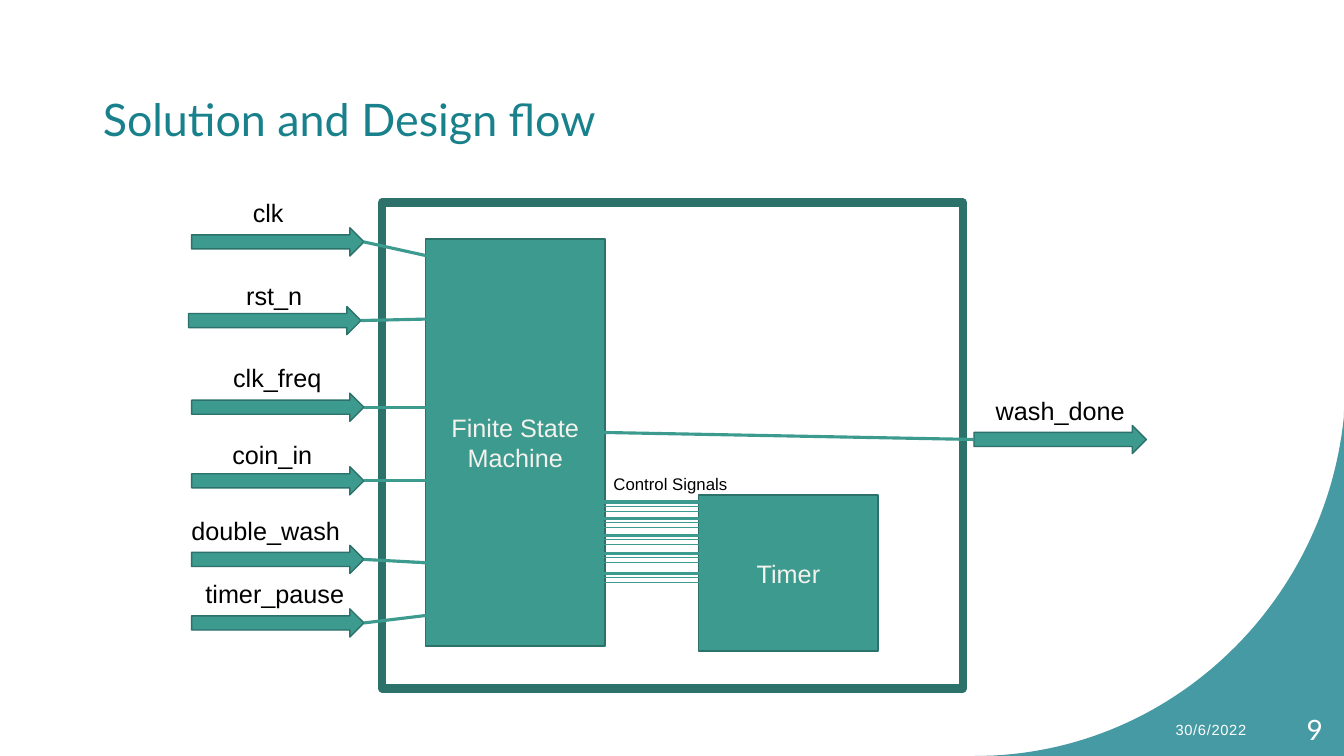
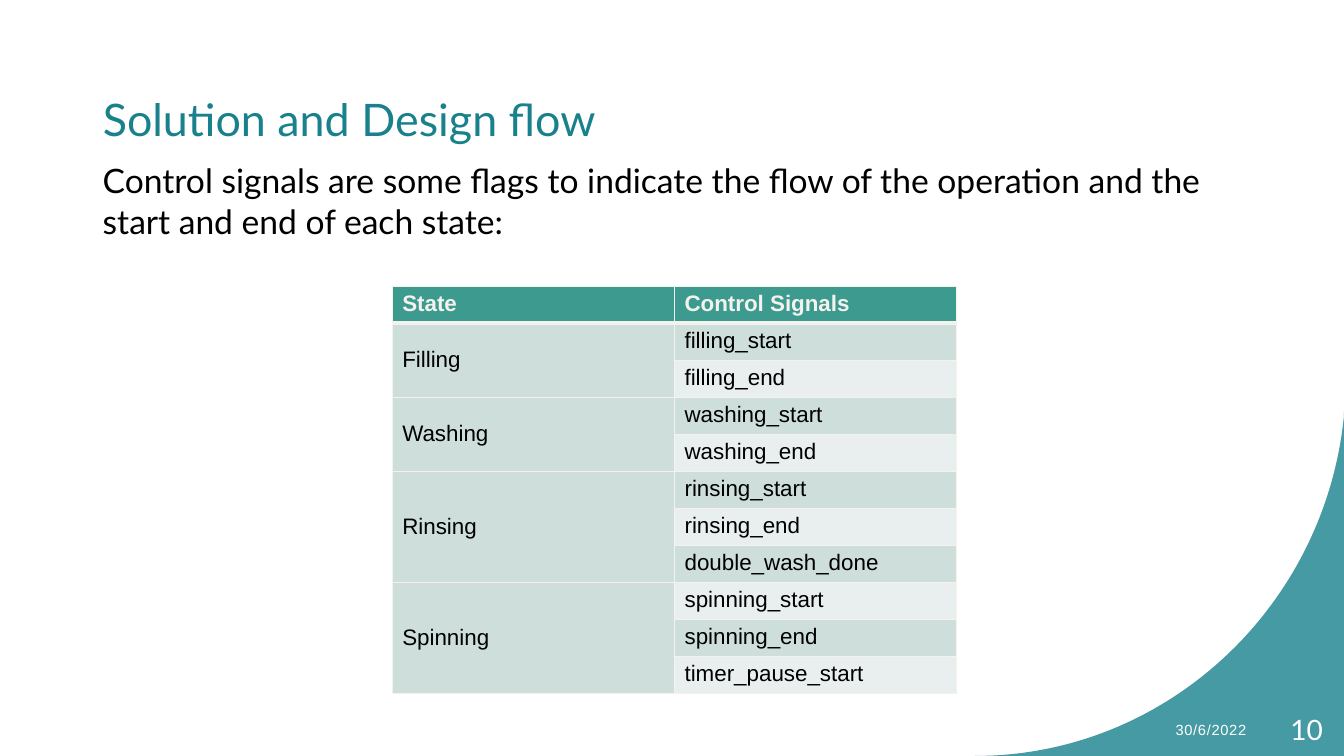
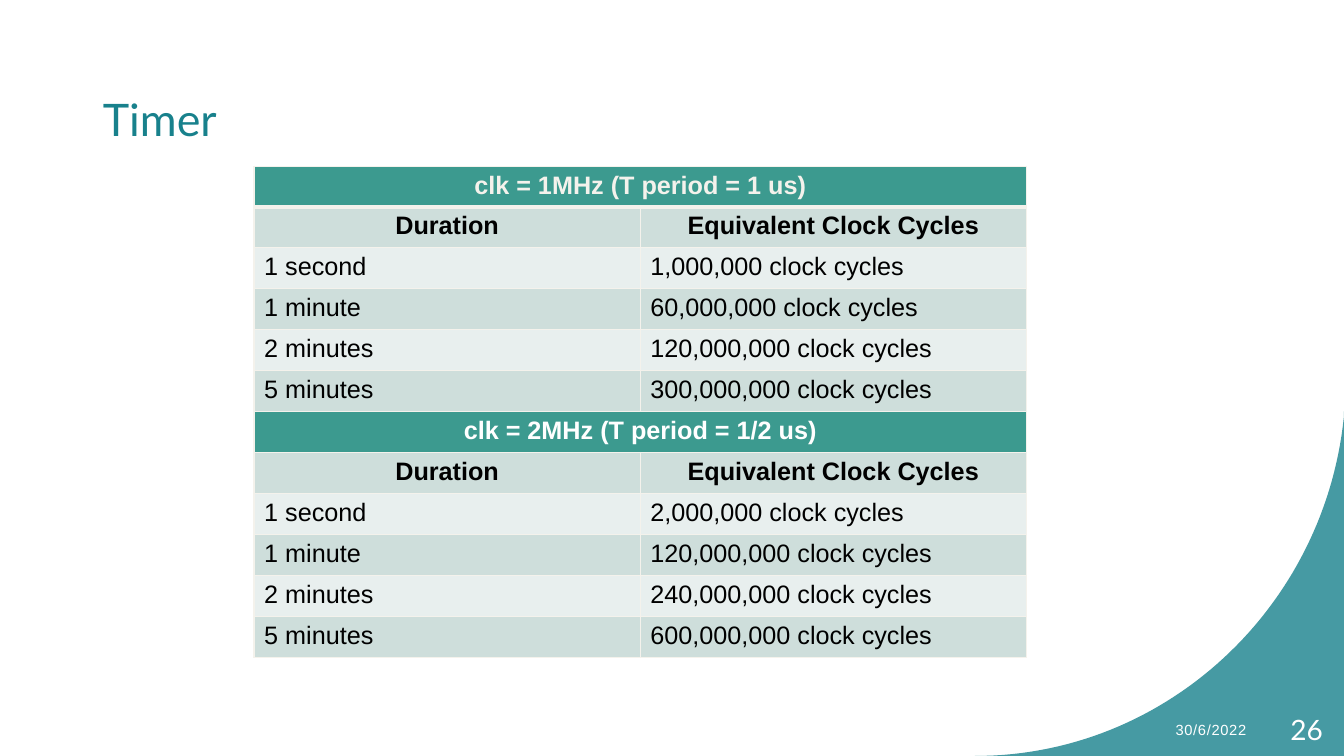
from dataclasses import dataclass

from lxml import etree
from pptx import Presentation
from pptx.dml.color import RGBColor
from pptx.enum.shapes import MSO_CONNECTOR, MSO_SHAPE
from pptx.enum.text import MSO_ANCHOR, MSO_AUTO_SIZE, PP_ALIGN
from pptx.oxml.ns import qn
from pptx.util import Emu, Pt

EMU_PER_PX = 9144
RECTANGLE = MSO_SHAPE.RECTANGLE
RIGHT_ARROW = MSO_SHAPE.RIGHT_ARROW
STRAIGHT = MSO_CONNECTOR.STRAIGHT
TOP, MIDDLE = MSO_ANCHOR.TOP, MSO_ANCHOR.MIDDLE
LEFT, CENTER, RIGHT = PP_ALIGN.LEFT, PP_ALIGN.CENTER, PP_ALIGN.RIGHT
LEFT_SIDE, RIGHT_SIDE = 1, 3
TITLE_ONLY = 5


@dataclass(frozen=True)
class Theme:
    teal: str = "18818C"
    green: str = "3C9A8F"
    dark_green: str = "2C726A"
    cream: str = "F4F2EC"
    band_dark: str = "CEDEDB"
    band_light: str = "E8EFEE"
    white: str = "FFFFFF"
    black: str = "000000"
    heading_font: str = "Lato"
    text_font: str = "Arial"
    title_size: float = 32
    lead_size: float = 24
    number_size: float = 20
    text_size: float = 18
    table_size: float = 16
    note_size: float = 12
    date_size: float = 10.5
    thick: float = 2.25
    thin: float = 0.5


THEME = Theme()

INPUTS = [
    ("clk", (202, 191, 128), (190, 226), (456, 261)),
    ("rst_n", (208, 273, 128), (187, 304), (448, 316)),
    ("clk_freq", (211, 355, 128), (190, 390), (442, 404)),
    ("coin_in", (206, 431, 128), (190, 463), (447, 477)),
    ("double_wash ", (176, 506, 182), (190, 541), (457, 560)),
    ("timer_pause", (187, 569, 171), (190, 604), (444, 608)),
]
SIGNAL_GROUPS = [
    (558, 725, 498),
    (575, 709, 514),
    (591, 725, 531),
    (575, 709, 549),
    (581, 715, 569),
]
SIGNAL_STRANDS = [(4, 9, THEME.thin), (2, 4, THEME.thin), (0, 0, THEME.thick)]

STATES = [
    ("Filling", ["filling_start", "filling_end"]),
    ("Washing", ["washing_start", "washing_end"]),
    ("Rinsing", ["rinsing_start", "rinsing_end", "double_wash_done"]),
    ("Spinning", ["spinning_start", "spinning_end", "timer_pause_start"]),
]
CLOCKS = [
    ("clk = 1MHz (T period = 1 us)", THEME.cream,
     ["1,000,000", "60,000,000", "120,000,000", "300,000,000"]),
    ("clk = 2MHz (T period = 1/2 us)", THEME.white,
     ["2,000,000", "120,000,000", "240,000,000", "600,000,000"]),
]
DURATIONS = ["1 second", "1 minute", "2 minutes", "5 minutes"]


def px(value):
    return Emu(round(value * EMU_PER_PX))


def place(*lengths):
    return [px(length) for length in lengths]


def rgb(color):
    return RGBColor.from_string(color)


def write(frame, text, size, color, align=LEFT, font=THEME.text_font, bold=False):
    frame.text = text
    para = frame.paragraphs[0]
    para.alignment = align
    para.font.name = font
    para.font.size = Pt(size)
    para.font.bold = bold
    para.font.color.rgb = rgb(color)
    return para


def add_text(page, box, text, size, color, align=LEFT, font=THEME.text_font, anchor=TOP):
    frame = page.shapes.add_textbox(*place(*box)).text_frame
    frame.word_wrap = True
    frame.vertical_anchor = anchor
    return write(frame, text, size, color, align, font)


def add_label(page, box, text, size=THEME.text_size):
    add_text(page, box, text, size, THEME.black, CENTER)


def add_block(page, preset, box, text="", fill=THEME.green, border=1):
    block = page.shapes.add_shape(preset, *place(*box))
    block.shadow.inherit = False
    block.fill.solid()
    block.fill.fore_color.rgb = rgb(fill)
    block.line.color.rgb = rgb(THEME.dark_green)
    block.line.width = Pt(border)
    if text:
        block.text_frame.vertical_anchor = MIDDLE
        write(block.text_frame, text, THEME.text_size, THEME.cream, CENTER)
    return block


def add_arrow(page, left, top):
    return add_block(page, RIGHT_ARROW, (left, top, 171, 28))


def add_wire(page, start, end, width=THEME.thick):
    wire = page.shapes.add_connector(STRAIGHT, *place(*start, *end))
    wire.line.color.rgb = rgb(THEME.green)
    wire.line.width = Pt(width)
    etree.SubElement(wire.element.spPr, qn("a:effectLst"))
    return wire


def add_corner(page):
    controls = [(967, 750), (1157, 750), (1314, 602), (1333, 413)]
    steps = 60
    points = []
    for step in range(steps + 1):
        t = step / steps
        weights = ((1 - t) ** 3, 3 * t * (1 - t) ** 2, 3 * t ** 2 * (1 - t), t ** 3)
        points.append(tuple(
            px(sum(weight * control[axis] for weight, control in zip(weights, controls)))
            for axis in (0, 1)
        ))
    points += [place(1333, 408), place(1333, 750)]
    builder = page.shapes.build_freeform(*points[0], scale=1.0)
    builder.add_line_segments(points[1:], close=True)
    corner = builder.convert_to_shape()
    corner.shadow.inherit = False
    corner.fill.solid()
    corner.fill.fore_color.rgb = rgb(THEME.teal)
    corner.line.fill.background()
    color = corner.element.spPr.find(qn("a:solidFill")).find(qn("a:srgbClr"))
    etree.SubElement(color, qn("a:alpha"), val="80000")


def add_page(deck, title, number):
    page = deck.slides.add_slide(deck.slide_layouts[TITLE_ONLY])
    add_corner(page)
    heading = page.shapes.title
    heading.left, heading.top, heading.width, heading.height = place(92, 49, 1154, 145)
    heading.text_frame.auto_size = MSO_AUTO_SIZE.NONE
    heading.text_frame.vertical_anchor = MIDDLE
    para = write(heading.text_frame, title, THEME.title_size, THEME.teal, font=THEME.heading_font)
    para.line_spacing = 0.9
    add_text(page, (1246, 704, 76, 40), str(number), THEME.number_size, THEME.white,
             RIGHT, THEME.heading_font, MIDDLE)
    date = add_text(page, (986, 704, 260, 40), "30/6/2022", THEME.date_size, THEME.white,
                    RIGHT, anchor=MIDDLE)
    date._p.get_or_add_pPr().get_or_add_defRPr().set("spc", "50")
    return page


def set_borders(cell, top, bottom):
    properties = cell._tc.get_or_add_tcPr()
    for index, (side, width) in enumerate((("L", 1), ("R", 1), ("T", top), ("B", bottom))):
        border = etree.Element(qn(f"a:ln{side}"), w=str(Pt(width)))
        fill = etree.SubElement(border, qn("a:solidFill"))
        etree.SubElement(fill, qn("a:srgbClr"), val=THEME.cream)
        properties.insert(index, border)


def add_grid(page, box, row_count, header_height):
    table = page.shapes.add_table(row_count, 2, *place(*box)).table
    table.first_row = False
    table.horz_banding = False
    for column in table.columns:
        column.width = px(box[2] / 2)
    for index, row in enumerate(table.rows):
        row.height = px((box[3] - header_height) / (row_count - 1) if index else header_height)
        for cell in row.cells:
            cell.fill.solid()
            cell.fill.fore_color.rgb = rgb(THEME.band_dark if index % 2 else THEME.band_light)
            set_borders(cell, 3 if index == 1 else 1, 3 if index == 0 else 1)
    return table


def fill_cell(cell, text, size, color=THEME.black, align=LEFT, bold=False, fill=None):
    write(cell.text_frame, text, size, color, align, bold=bold)
    if fill:
        cell.fill.fore_color.rgb = rgb(fill)


def add_state_table(page):
    row_count = 1 + sum(len(signals) for _, signals in STATES)
    table = add_grid(page, (389, 284, 560, 403), row_count, 36)
    for column, text in enumerate(("State", "Control Signals")):
        fill_cell(table.cell(0, column), text, THEME.table_size, THEME.cream,
                  bold=True, fill=THEME.green)
    row = 1
    for state, signals in STATES:
        first = table.cell(row, 0)
        first.merge(table.cell(row + len(signals) - 1, 0))
        first.vertical_anchor = MIDDLE
        fill_cell(first, state, THEME.table_size, fill=THEME.band_dark)
        for signal in signals:
            fill_cell(table.cell(row, 1), signal, THEME.table_size)
            row += 1


def add_clock_table(page):
    section_rows = 2 + len(DURATIONS)
    table = add_grid(page, (252, 165, 766, 486), section_rows * len(CLOCKS), 39)
    for section, (clock, color, cycles) in enumerate(CLOCKS):
        start = section * section_rows
        banner = table.cell(start, 0)
        banner.merge(table.cell(start, 1))
        fill_cell(banner, clock, THEME.text_size, color, CENTER, True, THEME.green)
        for column, text in enumerate(("Duration", "Equivalent Clock Cycles")):
            fill_cell(table.cell(start + 1, column), text, THEME.text_size,
                      align=CENTER, bold=True)
        for row, (duration, count) in enumerate(zip(DURATIONS, cycles), start + 2):
            fill_cell(table.cell(row, 0), duration, THEME.text_size)
            fill_cell(table.cell(row, 1), f"{count} clock cycles", THEME.text_size)


def add_block_diagram(page):
    add_block(page, RECTANGLE, (379, 201, 576, 482), fill=THEME.white, border=6)
    add_block(page, RECTANGLE, (422, 237, 178, 404), "Finite State Machine")
    add_block(page, RECTANGLE, (693, 491, 178, 155), "Timer")
    for name, (left, top, width), arrow_corner, wire_end in INPUTS:
        add_label(page, (left, top, width, 40), name)
        arrow = add_arrow(page, *arrow_corner)
        wire = add_wire(page, wire_end, wire_end)
        wire.begin_connect(arrow, RIGHT_SIDE)
    add_wire(page, (361, 555), (456, 562), THEME.thin)
    for shift, drop, width in SIGNAL_STRANDS:
        for left, right, level in SIGNAL_GROUPS:
            add_wire(page, (left + shift, level + drop), (right + shift, level + drop), width)
    add_label(page, (966, 387, 171, 40), "wash_done")
    output = add_arrow(page, 966, 422)
    wire = add_wire(page, (596, 429), (966, 436))
    wire.end_connect(output, LEFT_SIDE)
    add_label(page, (597, 465, 136, 30), "Control Signals", THEME.note_size)


def main():
    deck = Presentation()
    deck.slide_width, deck.slide_height = place(1333, 750)

    add_block_diagram(add_page(deck, "Solution and Design flow", 9))

    page = add_page(deck, "Solution and Design flow", 10)
    add_text(page, (92, 154, 1112, 91),
             "Control signals are some flags to indicate the flow of the operation "
             "and the start and end of each state:",
             THEME.lead_size, THEME.black, font=THEME.heading_font)
    add_state_table(page)

    add_clock_table(add_page(deck, "Timer", 26))

    deck.save("out.pptx")


if __name__ == "__main__":
    main()
